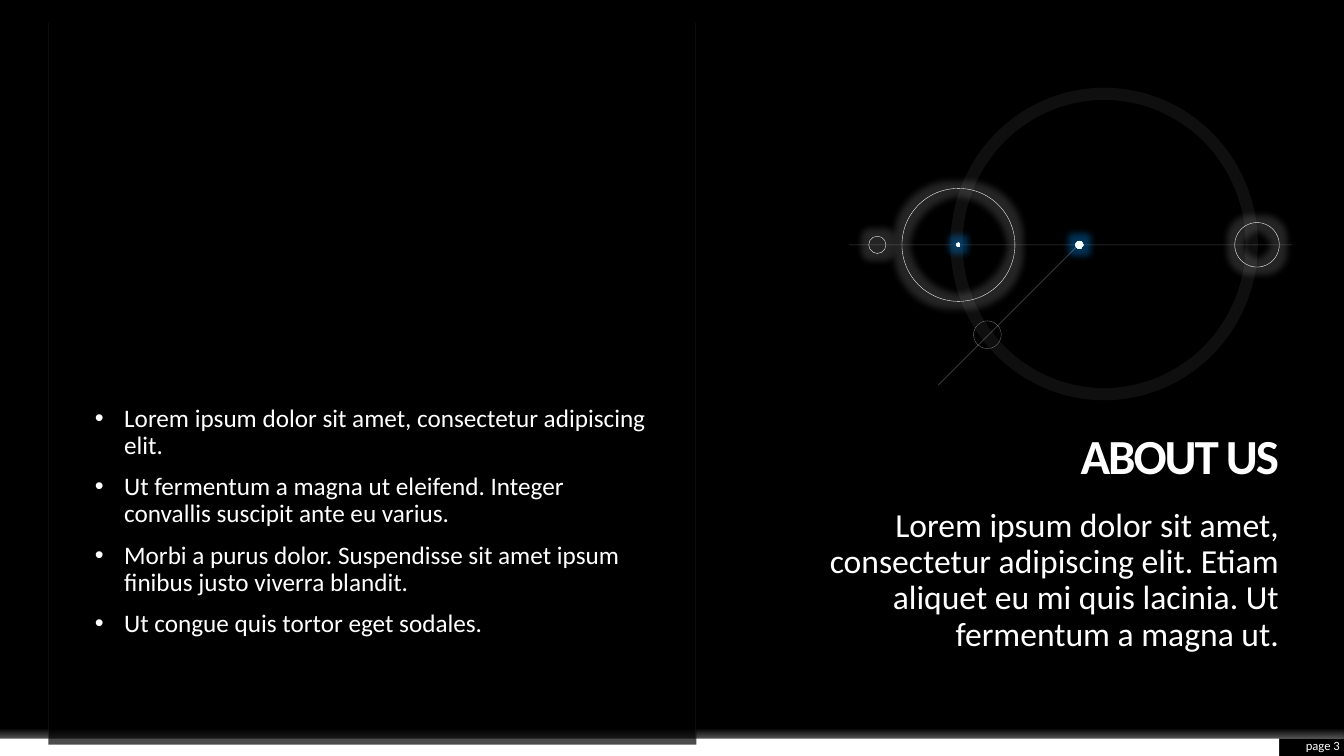
"""Build a dark "About us" slide with an orbit emblem, a list and a summary."""
from lxml.etree import SubElement
from pptx import Presentation
from pptx.dml.color import RGBColor
from pptx.enum.dml import MSO_LINE
from pptx.enum.shapes import MSO_CONNECTOR, MSO_SHAPE
from pptx.enum.text import MSO_ANCHOR, MSO_AUTO_SIZE, PP_ALIGN
from pptx.oxml.ns import qn
from pptx.util import Inches, Pt

COLORS = {
    "black": "000000", "white": "FFFFFF", "mist": "F2F2F2", "axis": "E7E6E6",
    "gray": "808080", "ice": "F7FFFF", "sky": "C1E4FF", "blue": "0070C0",
}
COLS, ROWS = 32, 18
AXIS = 5.83


class Deck:
    def __init__(self, font="Calibri"):
        self.prs = Presentation()
        self.prs.slide_width, self.prs.slide_height = Inches(13.333), Inches(7.5)
        self.font = font
        self.s = self.prs.slides.add_slide(self.prs.slide_layouts[3])
        self.solid(self.s.background.fill, "black")
        self.shapes = self.s.shapes

    def x(self, col):
        return round(self.prs.slide_width * col / COLS)

    def y(self, row):
        return round(self.prs.slide_height * row / ROWS)

    def box(self, col, row, cols, rows):
        return self.x(col), self.y(row), self.x(cols), self.y(rows)

    def solid(self, fill, color):
        fill.solid()
        fill.fore_color.rgb = RGBColor.from_string(COLORS[color])

    def alpha(self, parent, percent):
        clr = next(parent.iter(qn("a:srgbClr")))
        SubElement(clr, qn("a:alpha"), val=str(percent * 1000))

    def gradient(self, sp, stops, angle=None):
        grad = SubElement(sp.element.spPr, qn("a:gradFill"), rotWithShape="1")
        sp.element.spPr.find(qn("a:prstGeom")).addnext(grad)
        gs_lst = SubElement(grad, qn("a:gsLst"))
        for pos, color, opacity in stops:
            gs = SubElement(gs_lst, qn("a:gs"), pos=str(pos * 1000))
            SubElement(gs, qn("a:srgbClr"), val=COLORS[color])
            self.alpha(gs, opacity)
        if angle is None:
            path = SubElement(grad, qn("a:path"), path="circle")
            SubElement(path, qn("a:fillToRect"),
                       dict.fromkeys("ltrb", "50000"))
        else:
            SubElement(grad, qn("a:lin"), ang=str(angle * 60000), scaled="0")

    def stroke(self, sp, color, width, opacity=100):
        self.solid(sp.line.fill, color)
        sp.line.width = Pt(width)
        self.alpha(sp.element.spPr.find(qn("a:ln")), opacity)

    def rect(self, cell, color=None, opacity=100, stops=None):
        sp = self.shapes.add_shape(MSO_SHAPE.RECTANGLE, *self.box(*cell))
        sp.shadow.inherit = False
        sp.line.fill.background()
        if stops:
            self.gradient(sp, stops, 90)
        else:
            self.solid(sp.fill, color)
            self.alpha(sp.element.spPr, opacity)

    def circle(self, col, row, size, line=None, glow=None, dash=None):
        cols, rows = size
        sp = self.shapes.add_shape(
            MSO_SHAPE.OVAL, *self.box(col - cols / 2, row - rows / 2, cols, rows))
        sp.shadow.inherit = False
        if line:
            sp.fill.background()
            self.stroke(sp, *line)
            sp.line.dash_style = dash
        else:
            sp.line.fill.background()
            self.gradient(sp, [(0, "white", 100), (65, "ice", 100), (70, "sky", 100)])
        if glow:
            effects = sp.element.spPr.find(qn("a:effectLst"))
            halo = SubElement(effects, qn("a:glow"), rad=str(Pt(10)))
            SubElement(halo, qn("a:srgbClr"), val=COLORS[glow[0]])
            self.alpha(halo, glow[1])

    def line(self, start, end, color, width, opacity):
        (c1, r1), (c2, r2) = start, end
        ln = self.shapes.add_connector(MSO_CONNECTOR.STRAIGHT, self.x(c1),
                                       self.y(r1), self.x(c2), self.y(r2))
        self.stroke(ln, color, width, opacity)
        SubElement(ln.element.spPr, qn("a:effectLst"))

    def text(self, sp, cell, lines, size, align=PP_ALIGN.RIGHT,
             anchor=MSO_ANCHOR.TOP, spacing=0.9, bold=False, track=0, bullet=False):
        sp.left, sp.top, sp.width, sp.height = self.box(*cell)
        sp.element.getparent().append(sp.element)
        tf = sp.text_frame
        tf.text = "\n".join(lines)
        tf.word_wrap, tf.auto_size = True, MSO_AUTO_SIZE.NONE
        tf.vertical_anchor = anchor
        tf.margin_left = tf.margin_right = tf.margin_top = tf.margin_bottom = 0
        for i, p in enumerate(tf.paragraphs):
            p.alignment, p.line_spacing = align, spacing
            p.space_before = Pt(10 if i else 0)
            pPr = p._p.get_or_add_pPr()
            indent = Inches(0.29) if bullet else 0
            pPr.set("marL", str(indent))
            pPr.set("indent", str(-indent))
            if bullet:
                SubElement(pPr, qn("a:buFont"), typeface="Arial")
                SubElement(pPr, qn("a:buChar"), char="•")
            else:
                SubElement(pPr, qn("a:buNone"))
            for r in p.runs:
                r.font.name, r.font.size, r.font.bold = self.font, Pt(size), bold
                self.solid(r.font.fill, "white")
                r.font._element.set("spc", str(track))

    def emblem(self):
        self.shapes = self.s.shapes.add_group_shape().shapes
        thin, halo, spark = ("white", 0.25), ("white", 15), ("blue", 45)
        self.circle(22.82, AXIS, (2.69, 2.69), thin, halo)
        self.circle(29.93, AXIS, (1.06, 1.06), thin, halo)
        self.circle(25.7, AXIS, (0.19, 0.19), glow=spark)
        self.circle(26.29, 5.81, (7.03, 7.15), ("white", 8.75, 6))
        self.line((20.21, AXIS), (30.77, AXIS), "axis", 0.5, 30)
        self.circle(22.82, AXIS, (0.1, 0.1), glow=spark)
        self.circle(23.51, 7.97, (0.66, 0.66), ("gray", 0.25), dash=MSO_LINE.SQUARE_DOT)
        self.circle(20.89, AXIS, (0.41, 0.41), thin, halo)
        self.line((22.34, 9.17), (25.68, AXIS), "axis", 0.5, 30)
        self.shapes = self.s.shapes


def main():
    d = Deck()
    title, body, summary = list(d.s.placeholders)[:3]
    d.rect((0, 17.59, 30.46, 0.41), "white")
    d.rect((0, 17.18, COLS, 0.41), stops=[(40, "white", 0), (100, "white", 35)])
    d.rect((1.15, 10.22, 15.43, 7.51), "black", 70)
    for col in (16.56, 1.15):
        d.line((col, 0.55), (col, 17.59), "mist", 0.25, 15)
    d.text(body, (2.26, 9.65, 13.18, 7.15), [
        "Lorem ipsum dolor sit amet, consectetur adipiscing elit.",
        "Ut fermentum a magna ut eleifend. Integer convallis suscipit ante eu varius.",
        "Morbi a purus dolor. Suspendisse sit amet ipsum finibus justo viverra blandit.",
        "Ut congue quis tortor eget sodales.",
    ], 18, PP_ALIGN.LEFT, bullet=True)
    d.emblem()
    d.text(title, (17.11, 9.65, 13.34, 1.9), ["ABOUT US"], 35,
           anchor=MSO_ANCHOR.BOTTOM, bold=True, track=-150)
    d.text(summary, (19.63, 12.1, 10.82, 4.73), [
        "Lorem ipsum dolor sit amet, consectetur adipiscing elit. "
        "Etiam aliquet eu mi quis lacinia. Ut fermentum a magna ut."], 24)
    page = (30.46, 17.54, 1.44, 0.41)
    d.text(d.shapes.add_textbox(*d.box(*page)), page, ["page 3"], 9,
           anchor=MSO_ANCHOR.MIDDLE, spacing=1.0)
    for ph in list(d.s.placeholders):
        if not ph.text_frame.text:
            ph.element.getparent().remove(ph.element)
    d.prs.save("out.pptx")


if __name__ == "__main__":
    main()
